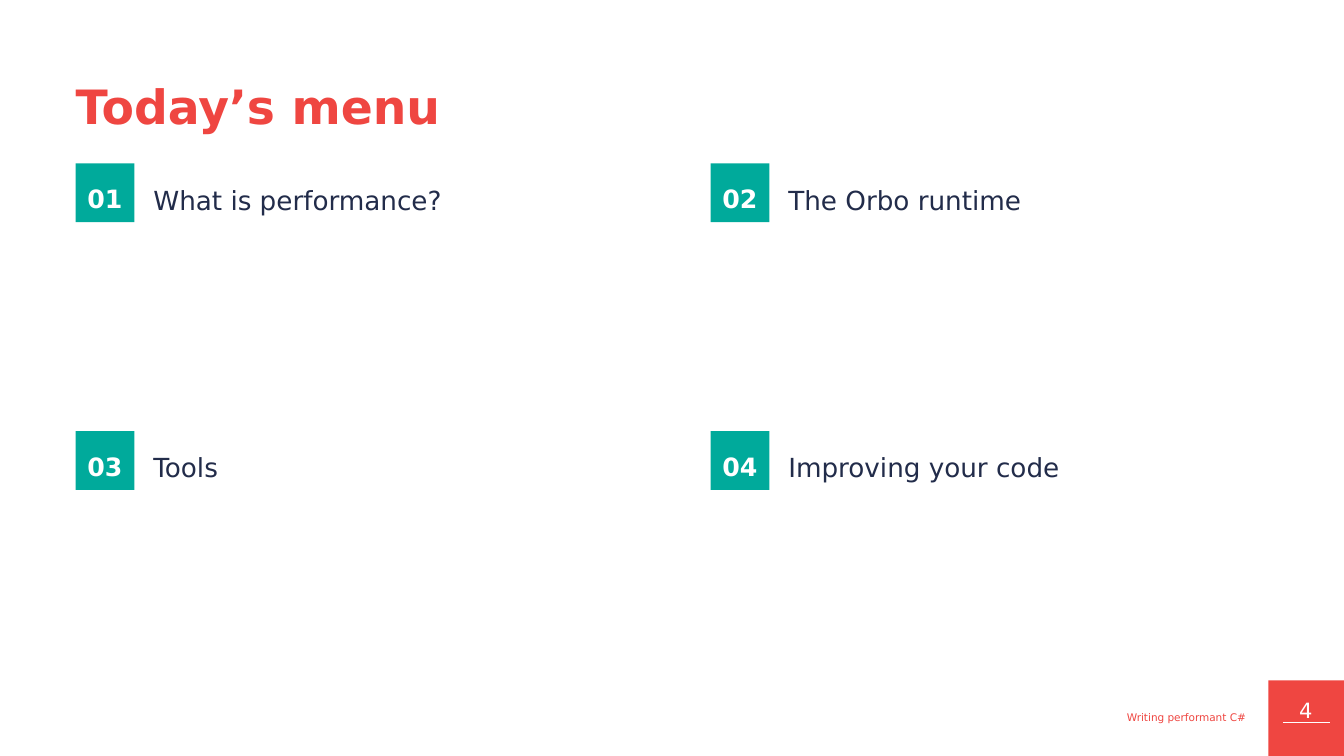
"""Build an agenda slide with four numbered topics and a footer."""
import pptx
import pptx.dml.color
import pptx.enum.shapes
import pptx.enum.text
import pptx.util
from lxml import etree

Pt = pptx.util.Pt
ALIGN = pptx.enum.text.PP_ALIGN
ANCHOR = pptx.enum.text.MSO_ANCHOR
RECT = pptx.enum.shapes.MSO_SHAPE.RECTANGLE

TITLE = "Today’s menu"
TOPICS = ["What is performance?", "The Orbo runtime", "Tools", "Improving your code"]
FOOTER = "Writing performant C#"
PAGE = "4"

FONT = "DejaVu Sans"
RED, TEAL, NAVY, WHITE = "EF4641", "00AA9B", "222C4A", "FFFFFF"
WIDTH, HEIGHT = 1280.16, 720
COLUMNS, LEFT, TOP = 2, 72, 155.5
COLUMN_STEP, ROW_STEP = 604.8, 255
BADGE, CORNER = 56, 72


def rgb(value):
    return pptx.dml.color.RGBColor.from_string(value)


def write(sp, text, size, color, bold=False, align=ALIGN.LEFT, anchor=ANCHOR.TOP,
          insets=(0, 0, 0, 0), before=0, after=0, spacing=1.0):
    tf = sp.text_frame
    tf.text = text
    tf.word_wrap = True
    tf.auto_size = pptx.enum.text.MSO_AUTO_SIZE.NONE
    tf.vertical_anchor = anchor
    tf.margin_left, tf.margin_top, tf.margin_right, tf.margin_bottom = map(Pt, insets)
    p = tf.paragraphs[0]
    p.alignment = align
    p.space_before, p.space_after, p.line_spacing = Pt(before), Pt(after), spacing
    font = p.runs[0].font
    font.name, font.size, font.bold = FONT, Pt(size), bold
    font.color.rgb = rgb(color)


def add_box(s, x, y, size, color):
    sp = s.shapes.add_shape(RECT, Pt(x), Pt(y), Pt(size), Pt(size))
    sp.shadow.inherit = False
    sp.fill.solid()
    sp.fill.fore_color.rgb = rgb(color)
    sp.line.fill.background()
    return sp


def add_text(s, x, y, w, h, text, size, color, **style):
    sp = s.shapes.add_textbox(Pt(x), Pt(y), Pt(w), Pt(h))
    write(sp, text, size, color, **style)


def add_topic(s, index, topic):
    row, column = divmod(index, COLUMNS)
    x, y = LEFT + column * COLUMN_STEP, TOP + row * ROW_STEP
    badge = add_box(s, x, y, BADGE, TEAL)
    write(badge, f"{index + 1:02d}", 24, WHITE, bold=True, align=ALIGN.CENTER,
          insets=(0, 16, 0, 0), before=16.1, after=6.2, spacing=1.1)
    add_text(s, x + 72.7, y + 18, 440.6, 31.7, topic, 25, NAVY, anchor=ANCHOR.BOTTOM,
             insets=(1.4, 1.4, 0, 0), before=1, after=6.2, spacing=1.1)


def add_page_corner(s):
    x, y = WIDTH - CORNER, HEIGHT - CORNER
    add_box(s, x, y, CORNER, RED)
    add_text(s, x + 8.6, y + 14, 54, 22.3, PAGE, 20, WHITE, align=ALIGN.CENTER,
             insets=(0, 2.4, 0, 0), before=2)
    rule = s.shapes.add_connector(pptx.enum.shapes.MSO_CONNECTOR.STRAIGHT,
                                  Pt(x + 13.7), Pt(y + 39.6), Pt(x + 58.3), Pt(y + 39.6))
    rule.line.color.rgb = rgb(WHITE)
    rule.line.width = Pt(0.5)
    etree.SubElement(rule._element.spPr, pptx.oxml.ns.qn("a:effectLst"))


def main():
    prs = pptx.Presentation()
    prs.slide_width, prs.slide_height = Pt(WIDTH), Pt(HEIGHT)
    s = prs.slides.add_slide(prs.slide_layouts[5])
    title = s.shapes.title
    title.left, title.top, title.width, title.height = Pt(71.3), Pt(73.4), Pt(946), Pt(81.4)
    write(title, TITLE, 45, RED, bold=True, insets=(0.8, 0, 0, 0), before=1)
    add_page_corner(s)
    for index, topic in enumerate(TOPICS):
        add_topic(s, index, topic)
    add_text(s, 761.8, 673.2, 432, 19.4, FOOTER, 10, RED, align=ALIGN.RIGHT,
             anchor=ANCHOR.MIDDLE, insets=(7.2, 3.6, 7.2, 3.6))
    prs.save("out.pptx")


if __name__ == "__main__":
    main()
